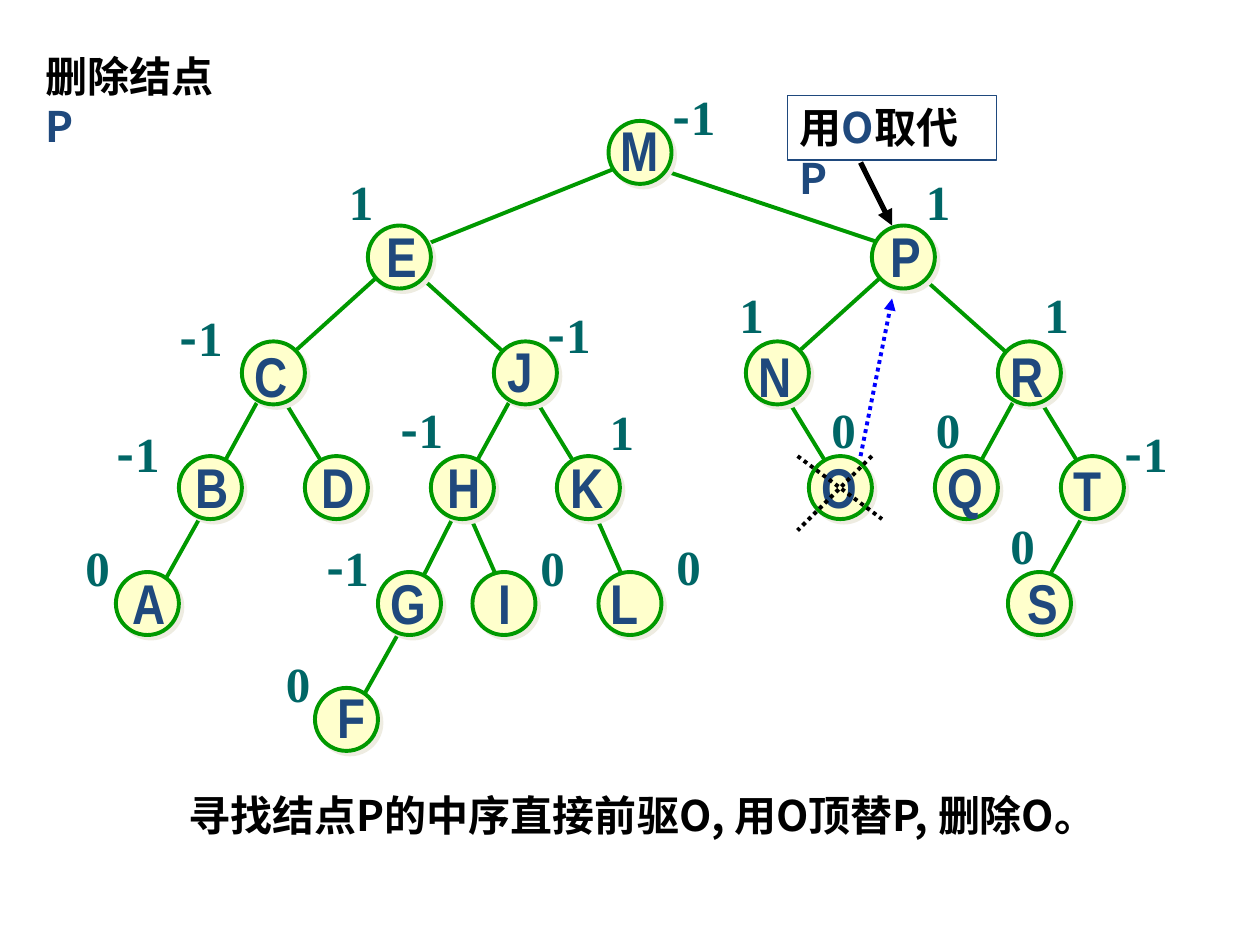
from lxml import etree
from pptx import Presentation
from pptx.dml.color import RGBColor
from pptx.enum.dml import MSO_LINE
from pptx.enum.shapes import MSO_CONNECTOR, MSO_SHAPE
from pptx.enum.text import MSO_ANCHOR, PP_ALIGN
from pptx.oxml.ns import qn
from pptx.util import Inches, Pt

OVAL, RECT = MSO_SHAPE.OVAL, MSO_SHAPE.RECTANGLE
LINE, DOTS = MSO_CONNECTOR.STRAIGHT, MSO_LINE.ROUND_DOT
LEFT, CENTER, TOP = PP_ALIGN.LEFT, PP_ALIGN.CENTER, MSO_ANCHOR.TOP

HAN, SERIF, NARROW = "Noto Sans CJK SC", "Times New Roman", "Arial Narrow"
BLACK, NAVY, TEAL, GREEN = "000000", "1F497D", "006666", "009900"
BLUE, CREAM, SHADE = "0000FF", "FFFFCC", "EEECE1"
SIZE = 0.5

# Top of the circles on each level of the tree
ROWS = [0.96, 1.79, 2.71, 3.62, 4.54, 5.46]

# Key, level, circle left, key left, key top, key width, balance, its left, its top
NODES = [
    ("A", 4, 0.92, 0.95, 4.46, 0.47, "0", 0.58, 4.22),
    ("B", 3, 1.42, 1.45, 3.54, 0.47, "-1", 0.83, 3.31),
    ("C", 2, 1.92, 1.92, 2.66, 0.47, "-1", 1.33, 2.39),
    ("D", 3, 2.42, 2.45, 3.54, 0.47, "", 0, 0),
    ("E", 1, 2.92, 2.97, 1.71, 0.44, "1", 2.67, 1.31),
    ("F", 5, 2.5, 2.58, 5.37, 0.42, "0", 2.17, 5.14),
    ("G", 4, 3, 3, 4.46, 0.48, "-1", 2.49, 4.22),
    ("H", 3, 3.42, 3.45, 3.54, 0.47, "-1", 3.08, 3.12),
    ("I", 4, 3.75, 3.86, 4.46, 0.3, "0", 4.19, 4.22),
    ("J", 2, 3.92, 3.93, 2.62, 0.4, "-1", 4.25, 2.37),
    ("K", 3, 4.42, 4.43, 3.54, 0.47, "1", 4.74, 3.14),
    ("L", 4, 4.75, 4.75, 4.46, 0.42, "0", 5.27, 4.21),
    ("M", 0, 4.83, 4.83, 0.87, 0.51, "-1", 5.24, 0.64),
    ("N", 2, 5.92, 5.92, 2.66, 0.47, "1", 5.77, 2.21),
    ("O", 3, 6.42, 6.42, 3.54, 0.48, "0", 6.5, 3.12),
    ("P", 1, 6.92, 6.97, 1.71, 0.44, "1", 7.25, 1.31),
    ("Q", 3, 7.42, 7.42, 3.54, 0.48, "0", 7.33, 3.12),
    ("R", 2, 7.92, 7.92, 2.66, 0.47, "1", 8.19, 2.21),
    ("S", 4, 8, 8.06, 4.46, 0.44, "0", 7.92, 4.04),
    ("T", 3, 8.42, 8.42, 3.57, 0.42, "-1", 8.83, 3.31),
]

# Branches as x1, y1, x2, y2
EDGES = [
    (1.25, 4.71, 1.67, 3.96), (4.67, 3.96, 5, 4.71), (3.67, 3.96, 4, 4.71),
    (3.25, 4.79, 3.67, 3.96), (6.17, 3.04, 6.58, 3.71), (8.25, 4.71, 8.67, 3.96),
    (8.17, 3.04, 8.58, 3.71), (7.67, 3.87, 8.08, 3.12), (4.17, 3.04, 4.58, 3.71),
    (3.67, 3.87, 4.08, 3.12), (2.17, 3.04, 2.58, 3.71), (4.08, 2.87, 3.25, 2.12),
    (8.17, 2.96, 7.33, 2.21), (6.25, 2.87, 7.08, 2.12), (5.08, 1.29, 7.08, 1.96),
    (2.83, 5.62, 3.25, 4.87), (2.25, 2.87, 3.08, 2.12), (1.67, 3.87, 2.08, 3.12),
    (3.33, 1.96, 5, 1.29),
]


def color(code):
    return RGBColor.from_string(code)


def write(shape, runs, size, align=LEFT):
    """Fill a shape with runs of (text, font, color)."""
    frame = shape.text_frame
    frame.word_wrap = True
    frame.vertical_anchor = TOP
    para = frame.paragraphs[0]
    para.alignment = align
    for text, face, code in runs:
        run = para.add_run()
        run.text = text
        style = {"size": Pt(size), "bold": True, "name": face}
        for name, value in style.items():
            setattr(run.font, name, value)
        run.font.color.rgb = color(code)
        etree.SubElement(run._r.get_or_add_rPr(), qn("a:ea"), typeface=face)


def add_text(slide, box, runs, size, align=LEFT):
    shape = slide.shapes.add_textbox(*map(Inches, box))
    write(shape, runs, size, align)


def add_line(slide, ends, code=GREEN, width=2.25, dash=None, arrow=False):
    link = slide.shapes.add_connector(LINE, *map(Inches, ends))
    link.line.color.rgb = color(code)
    link.line.width = Pt(width)
    if dash:
        link.line.dash_style = dash
    if arrow:
        etree.SubElement(link.line._get_or_add_ln(), qn("a:tailEnd"), type="triangle")
    etree.SubElement(link._element.spPr, qn("a:effectLst"))


def add_circle(slide, left, top):
    disc = slide.shapes.add_shape(OVAL, *map(Inches, (left, top, SIZE, SIZE)))
    disc.fill.solid()
    disc.fill.fore_color.rgb = color(CREAM)
    disc.line.color.rgb = color(GREEN)
    disc.line.width = Pt(2.25)
    # Hard shadow to the lower right
    disc.shadow.inherit = False
    glow = disc._element.spPr.find(qn("a:effectLst"))
    cast = etree.SubElement(glow, qn("a:outerShdw"), dist=str(Pt(2.8)),
                            dir="2700000", algn="ctr", rotWithShape="0")
    etree.SubElement(cast, qn("a:srgbClr"), val=SHADE)


def add_note(slide, box, runs):
    note = slide.shapes.add_shape(RECT, *map(Inches, box))
    note.shadow.inherit = False
    note.fill.background()
    note.line.color.rgb = color(NAVY)
    note.line.width = Pt(0.75)
    write(note, runs, 24)


def add_tree(slide):
    for ends in EDGES:
        add_line(slide, ends)
    for node in NODES:
        add_circle(slide, node[2], ROWS[node[1]])
    # Keys and balance factors go above all circles
    for key, _, _, left, top, width, factor, x, y in NODES:
        add_text(slide, (left, top, width, 0.63), [(key, NARROW, NAVY)], 32)
        if factor:
            runs = [(c, HAN if c == "-" else SERIF, TEAL) for c in factor]
            add_text(slide, (x, y, 0.4 if len(factor) == 1 else 0.59, 0.57), runs, 28)


def main():
    deck = Presentation()
    deck.slide_width, deck.slide_height = Inches(10), Inches(7.5)
    slide = deck.slides.add_slide(deck.slide_layouts[6])

    # Title and caption
    add_text(slide, (0.26, 0.35, 1.74, 0.5),
             [("删除结点", HAN, BLACK), ("P", HAN, NAVY)], 24)
    add_text(slide, (0.59, 6.22, 9.02, 0.5),
             [("寻找结点P的中序直接前驱O, 用O顶替P, 删除O。", HAN, BLACK)], 24, CENTER)

    add_tree(slide)

    # Arrows to P and the cross over O
    add_line(slide, (6.83, 1.29, 7.08, 1.79), BLACK, 3, arrow=True)
    add_line(slide, (6.83, 3.62, 7.08, 2.37), BLUE, dash=DOTS, arrow=True)
    add_line(slide, (6.92, 3.62, 6.33, 4.21), BLACK, dash=DOTS)
    add_line(slide, (6.33, 3.62, 7, 4.12), BLACK, dash=DOTS)

    # Note on the replacement
    add_note(slide, (6.25, 0.76, 1.66, 0.51),
             [("用", HAN, BLACK), ("O", HAN, NAVY),
              ("取代", HAN, BLACK), ("P", HAN, NAVY)])

    deck.save("out.pptx")


if __name__ == "__main__":
    main()
